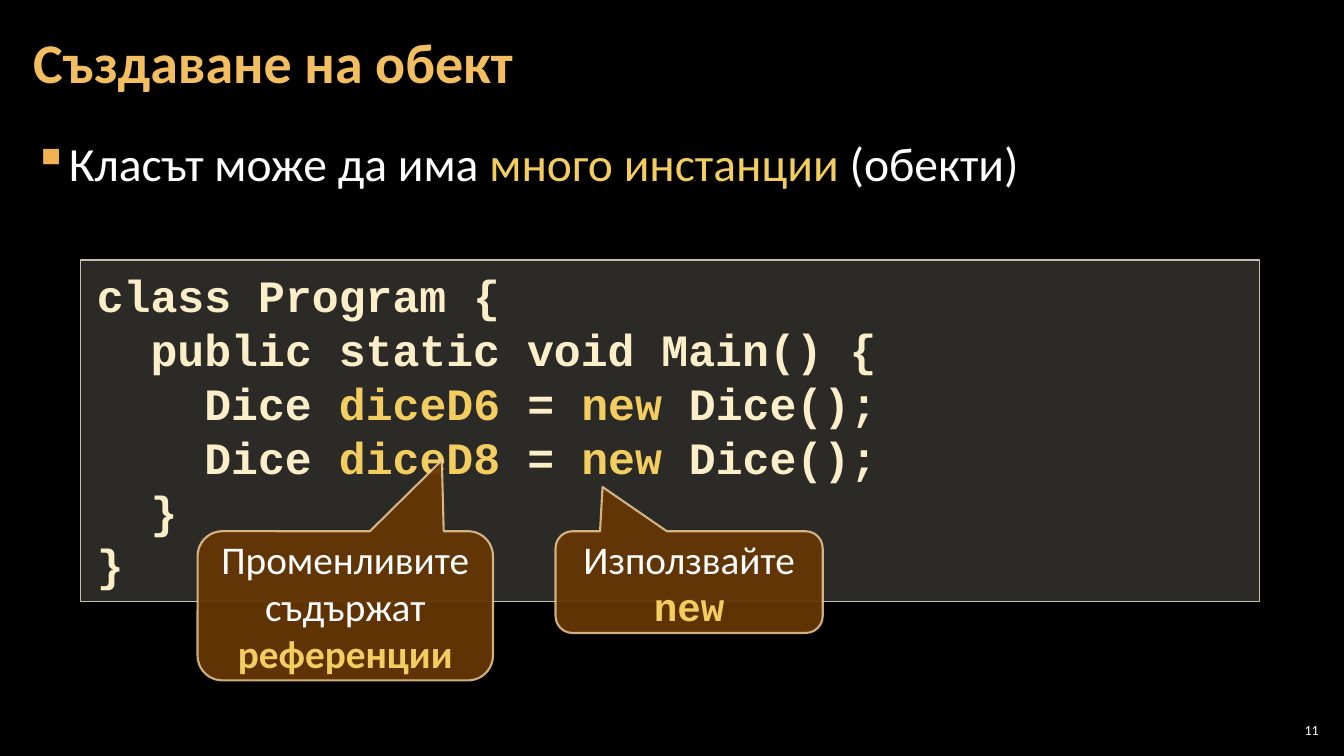
from pptx import Presentation
from pptx.dml.color import RGBColor
from pptx.enum.shapes import MSO_SHAPE
from pptx.enum.text import MSO_ANCHOR, PP_ALIGN
from pptx.oxml.ns import qn
from pptx.util import Inches, Pt
from lxml import etree

RECT, CALL = MSO_SHAPE.RECTANGLE, MSO_SHAPE.ROUNDED_RECTANGULAR_CALLOUT
TOP, MID = MSO_ANCHOR.TOP, MSO_ANCHOR.MIDDLE
LEFT, MIDDLE, RIGHT = PP_ALIGN.LEFT, PP_ALIGN.CENTER, PP_ALIGN.RIGHT
SANS, MONO = "Calibri", "Courier New"
WIDE, HIGH = 13.33, 7.5
HEX = {
    "back": "000000", "white": "FFFFFF", "title": "F3BE60", "mark": "F3CD60",
    "bullet": "F2B254", "code": "FBEEC9", "panel": "D9D5C7", "edge": "C7BFAC",
    "call": "663606", "rim": "F8D49E",
}

TITLE = "Създаване на обект"
POINT = "Класът може да има |много инстанции| (обекти)"
CODE = [
    (0, "class Program {"),
    (1, "public static void Main() {"),
    (2, "Dice |diceD6| = |new| Dice();"),
    (2, "Dice |diceD8| = |new| Dice();"),
    (1, "}"),
    (0, "}"),
]
CALLS = [
    ("Използвайте |new", MONO, 5.51, 2.65, 1.01, (-0.324, -0.935, 0.167)),
    ("Променливите съдържат |референции", SANS, 1.96, 2.93, 1.48,
     (0.327, -0.976, 0.167)),
]
PAGE = "11"
EDGE = 0.21
CODE_SIZE = 32
STEP = 2 * 0.6 * CODE_SIZE
CALL_TOP = 5.27


def color(name):
    return RGBColor.from_string(HEX[name])


def frame(shape, anchor, pad):
    text = shape.text_frame
    text.word_wrap = True
    text.vertical_anchor = anchor
    text.margin_left = text.margin_right = Inches(pad[0])
    text.margin_top = text.margin_bottom = Inches(pad[1])
    return text


def write(para, text, font, size, tint, bold=False, align=LEFT):
    para.alignment = align
    para.font.name, para.font.size = font, Pt(size)
    para.font.bold = bold
    para.font.color.rgb = color(tint)
    for i, part in enumerate(text.split("|")):
        run = para.add_run()
        run.text = part
        run.font.name, run.font.size = font, Pt(size)
        run.font.bold = bold
        run.font.color.rgb = color("mark" if i % 2 else tint)


def box(spot, anchor=TOP, pad=(0.12, 0.04)):
    shape = slide.shapes.add_textbox(*map(Inches, spot))
    return frame(shape, anchor, pad).paragraphs[0]


def block(kind, spot, fill, line, width, alphas):
    shape = slide.shapes.add_shape(kind, *map(Inches, spot))
    shape.shadow.inherit = False
    shape.fill.solid()
    shape.fill.fore_color.rgb = color(fill)
    shape.line.color.rgb = color(line)
    shape.line.width = Pt(width)
    tints = shape._element.spPr.iter(qn("a:srgbClr"))
    for tint, share in zip(list(tints), alphas):
        etree.SubElement(tint, qn("a:alpha")).set("val", str(share * 1000))
    return shape


def indent(para, left, first=0):
    props = para._p.get_or_add_pPr()
    props.set("marL", str(int(left)))
    props.set("indent", str(int(first)))
    return props


deck = Presentation()
deck.slide_width, deck.slide_height = Inches(WIDE), Inches(HIGH)
slide = deck.slides.add_slide(deck.slide_layouts[6])
slide.background.fill.solid()
slide.background.fill.fore_color.rgb = color("back")

write(box((12.65, 7.14, 0.47, 0.21), MID, (0.04, 0.04)),
      PAGE, SANS, 10, "white", align=RIGHT)

point = box((EDGE, 1.26, WIDE - 2 * EDGE, 6.09))
write(point, POINT, SANS, 34, "white")
point.line_spacing = 1.05
point.space_before = point.space_after = Pt(6)
props = indent(point, Inches(0.33), -Inches(0.33))
dot = etree.Element(qn("a:buClr"))
etree.SubElement(dot, qn("a:srgbClr")).set("val", HEX["bullet"])
sign = etree.Element(qn("a:buChar"))
sign.set("char", "▪")
spot = props.index(props.find(qn("a:spcAft"))) + 1
props.insert(spot, dot)
props.insert(spot + 1, sign)

head = box((EDGE, 0.04, 10.47, 1.21), MID)
write(head, TITLE, SANS, 40, "title", True)
head.line_spacing = 0.9

panel = block(RECT, (0.8, 2.58, 11.69, 3.39), "panel", "edge", 1, (20, 100))
text = frame(panel, TOP, (0.16, 0.08))
for i, (level, row) in enumerate(CODE):
    para = text.add_paragraph() if i else text.paragraphs[0]
    write(para, row, MONO, CODE_SIZE, "code", True)
    indent(para, Pt(level * STEP))

for words, font, left, wide, high, tips in CALLS:
    call = block(CALL, (left, CALL_TOP, wide, high), "call", "rim", 1.5, (95, 80))
    for i, tip in enumerate(tips):
        call.adjustments[i] = tip
    para = frame(call, MID, (0.1, 0.05)).paragraphs[0]
    write(para, words, SANS, 28, "white", align=MIDDLE)
    para.runs[1].font.name = font
    para.runs[1].font.bold = True

deck.save("out.pptx")
